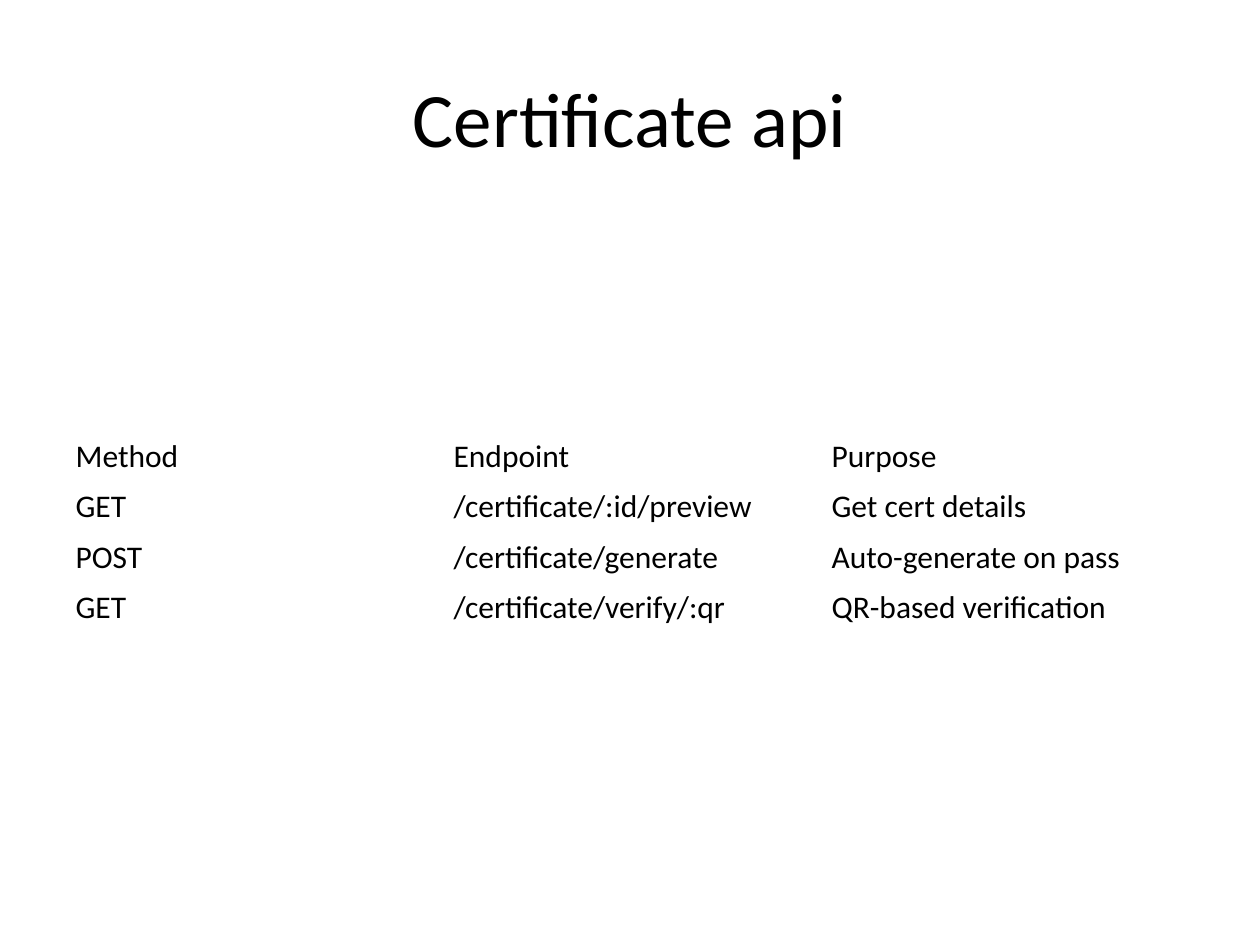
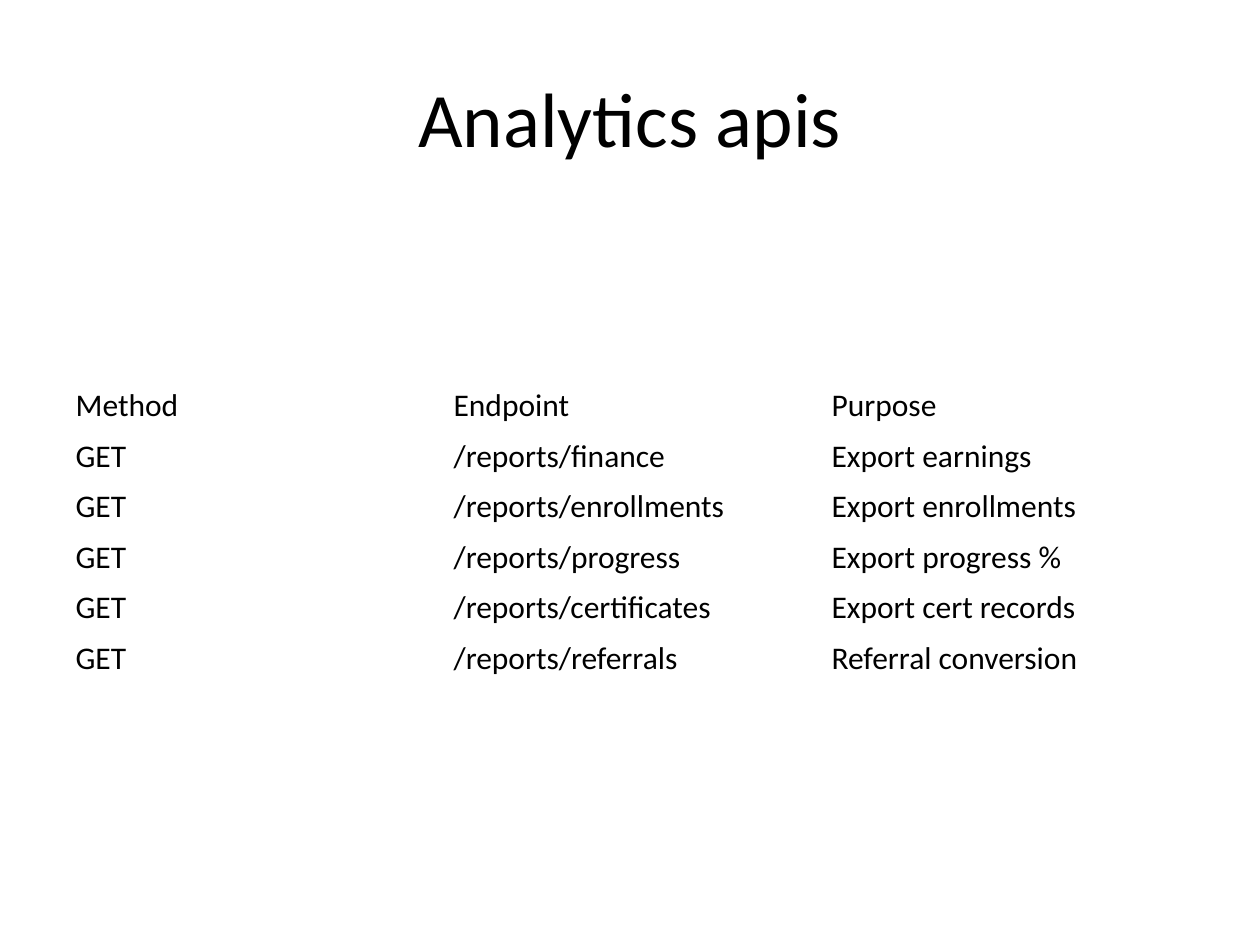
from pptx import Presentation
from pptx import util as u
from pptx.dml import color
from pptx.enum import text

FONT = "Calibri"
BLACK = "000000"
WHITE = "FFFFFF"
LEFT, WIDTH = 0.5, 9
ROW_HEIGHT = 0.4
TABLE_MIDDLE = 4.22
HEADER = ("Method", "Endpoint", "Purpose")

API_SLIDES = [
    ("Certificate api", [
        ("GET", "/certificate/:id/preview", "Get cert details"),
        ("POST", "/certificate/generate", "Auto-generate on pass"),
        ("GET", "/certificate/verify/:qr", "QR-based verification"),
    ]),
    ("Analytics apis", [
        ("GET", "/reports/finance", "Export earnings"),
        ("GET", "/reports/enrollments", "Export enrollments"),
        ("GET", "/reports/progress", "Export progress %"),
        ("GET", "/reports/certificates", "Export cert records"),
        ("GET", "/reports/referrals", "Referral conversion"),
    ]),
]


def rgb(hex_code):
    return color.RGBColor.from_string(hex_code)


def write(paragraph, words, size):
    """Put words into the paragraph in the shared font and colour."""
    paragraph.text = words
    paragraph.font.name = FONT
    paragraph.font.size = u.Pt(size)
    paragraph.font.bold = False
    paragraph.font.color.rgb = rgb(BLACK)


presentation = Presentation()
presentation.slide_width = u.Inches(10)
presentation.slide_height = u.Inches(7.5)
blank_layout = presentation.slide_layouts[6]

for title, endpoints in API_SLIDES:
    slide = presentation.slides.add_slide(blank_layout)
    slide.background.fill.solid()
    slide.background.fill.fore_color.rgb = rgb(WHITE)

    title_box = slide.shapes.add_textbox(
        u.Inches(LEFT), u.Inches(0.3), u.Inches(WIDTH), u.Inches(1.25))
    title_frame = title_box.text_frame
    title_frame.word_wrap = True
    title_frame.vertical_anchor = text.MSO_ANCHOR.MIDDLE
    title_frame.paragraphs[0].alignment = text.PP_ALIGN.CENTER
    write(title_frame.paragraphs[0], title, 44)

    # The table is centred on the same height whatever its number of rows
    rows = [HEADER, *endpoints]
    height = len(rows) * ROW_HEIGHT
    table = slide.shapes.add_table(
        len(rows), len(HEADER), u.Inches(LEFT),
        u.Inches(TABLE_MIDDLE - height / 2),
        u.Inches(WIDTH), u.Inches(height)).table
    table.first_row = False
    table.horz_banding = False
    for row_index, row in enumerate(rows):
        for column_index, words in enumerate(row):
            cell = table.cell(row_index, column_index)
            cell.fill.background()
            cell.vertical_anchor = text.MSO_ANCHOR.MIDDLE
            write(cell.text_frame.paragraphs[0], words, 18)

presentation.save("out.pptx")
